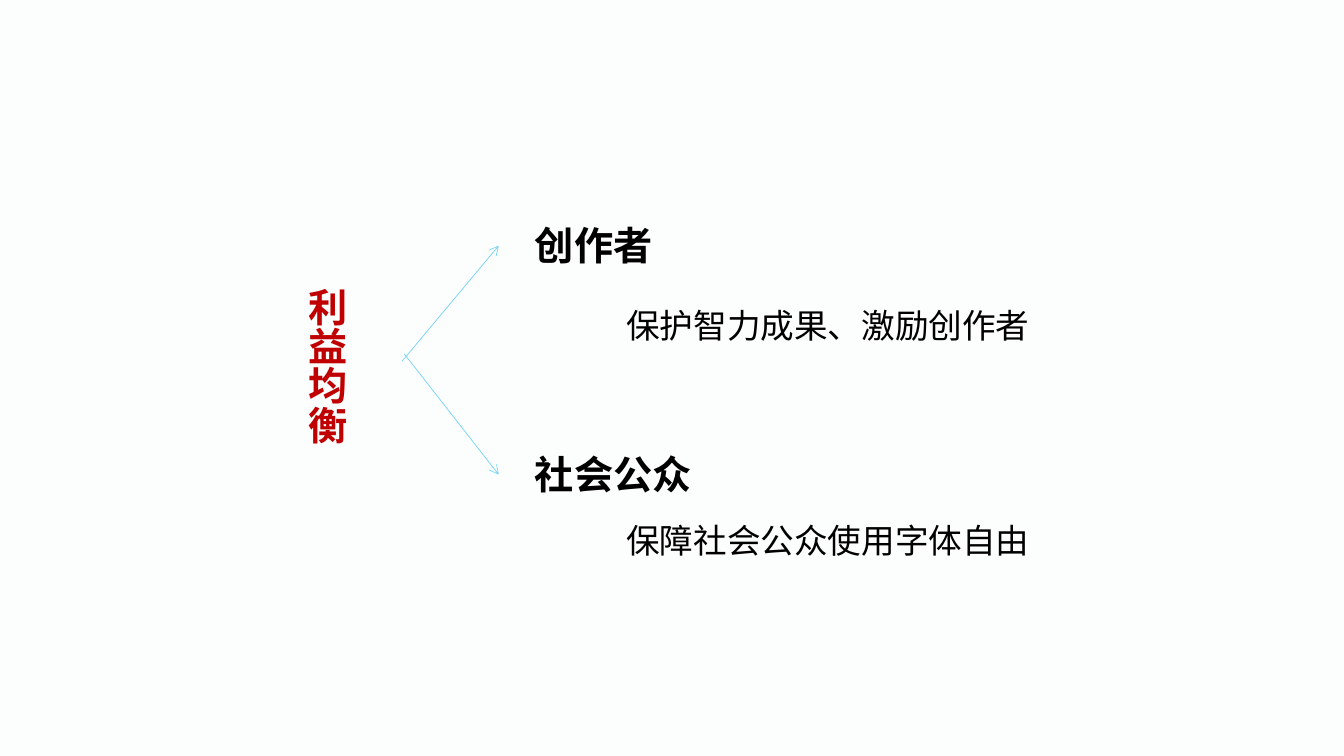
from lxml.etree import SubElement
from pptx import Presentation
from pptx.dml.color import RGBColor
from pptx.enum.lang import MSO_LANGUAGE_ID
from pptx.enum.shapes import MSO_CONNECTOR
from pptx.enum.text import MSO_AUTO_SIZE
from pptx.oxml.ns import qn
from pptx.util import Emu, Pt

SCALE = 9525
BACKGROUND = "FCFDFD"
BLACK = "000000"
RED = "C00000"
SKY = "76D4F6"


def px(length):
    return Emu(length * SCALE)


def color(hex_string):
    return RGBColor.from_string(hex_string)


def add_text(slide, box, text, size, hex_string, bold=False, wrap=True):
    shape = slide.shapes.add_textbox(*map(px, box))
    frame = shape.text_frame
    frame.word_wrap = wrap
    frame.auto_size = MSO_AUTO_SIZE.SHAPE_TO_FIT_TEXT
    run = frame.paragraphs[0].add_run()
    run.text = text
    run.font.name = "Arial"
    run.font.size = Pt(size)
    run.font.bold = bold
    run.font.color.rgb = color(hex_string)
    run.font.language_id = MSO_LANGUAGE_ID.SIMPLIFIED_CHINESE
    return shape


def add_topic(slide, box, text):
    shape = add_text(slide, box, text, 28, RED, bold=True)
    shape.text_frame.paragraphs[0].line_spacing = 1.5
    shape.text_frame._txBody.bodyPr.set("vert", "eaVert")


def add_arrow(slide, start, end):
    connector = slide.shapes.add_connector(
        MSO_CONNECTOR.STRAIGHT, *map(px, start + end)
    )
    connector.line.color.rgb = color(SKY)
    connector.line.width = Pt(0.5)
    SubElement(connector.line._get_or_add_ln(), qn("a:tailEnd"), type="arrow")
    SubElement(connector._element.spPr, qn("a:effectLst"))


def add_branch(slide, box, heading, detail, detail_offset):
    left, top, width, height = box
    add_text(slide, box, heading, 28, BLACK, bold=True)
    detail_box = (left + 87, top + detail_offset, 403, 48)
    add_text(slide, detail_box, detail, 24, BLACK, wrap=False)


def build_balance_slide(presentation):
    slide = presentation.slides.add_slide(presentation.slide_layouts[6])
    fill = slide.background.fill
    fill.solid()
    fill.fore_color.rgb = color(BACKGROUND)
    add_topic(slide, (274, 265, 87, 203), "利益均衡")
    branches = [
        (206, "创作者", "保护智力成果、激励创作者", 80, (383, 344), 234),
        (424, "社会公众", "保障社会公众使用字体自由", 66, (385, 337), 452),
    ]
    for top, heading, detail, offset, arrow_start, arrow_tip in branches:
        add_branch(slide, (500, top, 312, 55), heading, detail, offset)
        add_arrow(slide, arrow_start, (475, arrow_tip))


def main():
    presentation = Presentation()
    presentation.slide_width = px(1280)
    presentation.slide_height = px(720)
    build_balance_slide(presentation)
    presentation.save("out.pptx")


if __name__ == "__main__":
    main()
